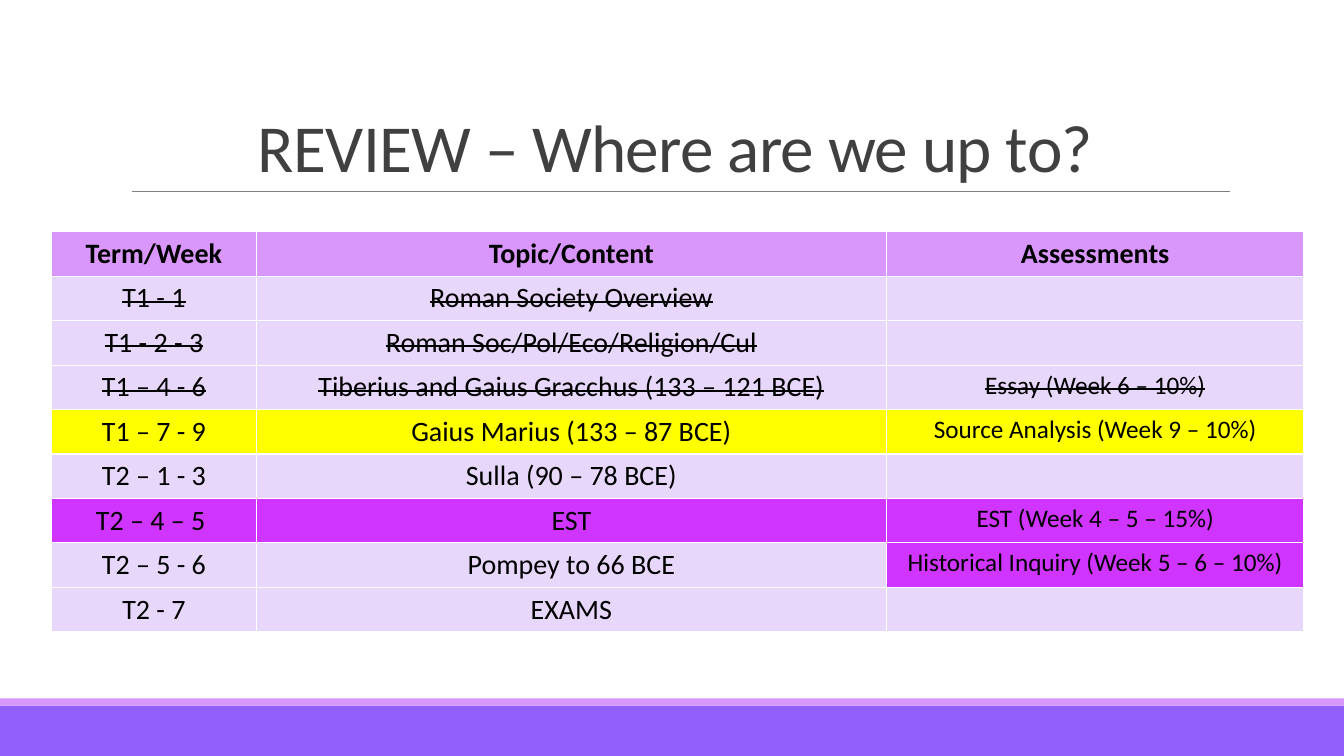
"""Build the course review slide with its term plan table."""
from typing import NamedTuple

from lxml import etree
from pptx import Presentation
from pptx import util as u
from pptx.dml.color import RGBColor
from pptx.enum import shapes, text
from pptx.oxml.ns import qn

COLORS = {
    "band": "925FFD",
    "lilac": "DA97FB",
    "rule": "808080",
    "title": "404040",
    "ink": "000000",
    "plain": "E7D7FA",
    "current": "FFFF00",
    "exam": "D035FF",
}
FONT = "Calibri"
SLIDE_WIDTH, SLIDE_HEIGHT = u.Cm(33.87), u.Cm(19.05)
COLUMN_WIDTHS = (5.16, 15.88, 10.52)
ROW_HEIGHT = 1.12


class Band(NamedTuple):
    top: float
    height: float
    color: str


class Week(NamedTuple):
    term: str
    topic: str
    assessment: str = ""
    fill: str = "plain"
    assessment_fill: str = "plain"
    done: bool = False


BANDS = (Band(17.78, 1.27, "band"), Band(17.6, 0.18, "lilac"))
HEADINGS = Week("Term/Week", "Topic/Content", "Assessments", "lilac", "lilac")
WEEKS = (
    Week("T1 - 1", "Roman Society Overview", done=True),
    Week("T1 - 2 - 3", "Roman Soc/Pol/Eco/Religion/Cul", done=True),
    Week("T1 – 4 - 6", "Tiberius and Gaius Gracchus (133 – 121 BCE)",
         "Essay (Week 6 – 10%)", done=True),
    Week("T1 – 7 - 9", "Gaius Marius (133 – 87 BCE)",
         "Source Analysis (Week 9 – 10%)", "current", "current"),
    Week("T2 – 1 - 3", "Sulla (90 – 78 BCE)"),
    Week("T2 – 4 – 5 ", "EST", "EST (Week 4 – 5 – 15%)", "exam", "exam"),
    Week("T2 – 5 - 6", "Pompey to 66 BCE",
         "Historical Inquiry (Week 5 – 6 – 10%)", assessment_fill="exam"),
    Week("T2 - 7", "EXAMS"),
)


def rgb(name: str) -> RGBColor:
    return RGBColor.from_string(COLORS[name])


def write(paragraph, wording: str, size: int, color: str, bold: bool = False, **marks: str) -> None:
    paragraph.alignment = text.PP_ALIGN.CENTER
    font = paragraph.font
    font.name, font.size, font.bold = FONT, u.Pt(size), bold
    font.color.rgb = rgb(color)
    if wording:
        run = paragraph.add_run()
        run.text = wording
        for mark, value in marks.items():
            run._r.get_or_add_rPr().set(mark, value)


def draw_band(slide, band: Band) -> None:
    stripe = slide.shapes.add_shape(
        shapes.MSO_SHAPE.RECTANGLE, 0, u.Cm(band.top), SLIDE_WIDTH, u.Cm(band.height))
    stripe.shadow.inherit = False
    stripe.fill.solid()
    stripe.fill.fore_color.rgb = rgb(band.color)
    stripe.line.fill.background()


def draw_title(slide) -> None:
    rule = slide.shapes.add_connector(
        shapes.MSO_CONNECTOR.STRAIGHT, u.Cm(3.33), u.Cm(4.82), u.Cm(31), u.Cm(4.82))
    rule.line.color.rgb = rgb("rule")
    rule.line.width = u.Pt(0.5)
    etree.SubElement(rule._element.spPr, qn("a:effectLst"))

    title = slide.shapes.add_textbox(u.Cm(3.05), u.Cm(0.79), u.Cm(27.94), u.Cm(4.03)).text_frame
    title.word_wrap = True
    title.vertical_anchor = text.MSO_ANCHOR.BOTTOM
    heading = title.paragraphs[0]
    heading.line_spacing = 0.85
    write(heading, "REVIEW – Where are we up to?", 48, "title", spc="-50")


def draw_week(cells, week: Week) -> None:
    is_heading = week is HEADINGS
    marks = {"strike": "sngStrike"} if week.done else {}
    fills = (week.fill, week.fill, week.assessment_fill)
    sizes = (20, 20, 20 if is_heading else 18)
    for cell, wording, fill, size in zip(cells, week[:3], fills, sizes):
        cell.fill.solid()
        cell.fill.fore_color.rgb = rgb(fill)
        write(cell.text_frame.paragraphs[0], wording, size, "ink", is_heading, **marks)


def draw_plan(slide) -> None:
    rows = (HEADINGS, *WEEKS)
    plan = slide.shapes.add_table(
        len(rows), len(COLUMN_WIDTHS), u.Cm(1.3), u.Cm(5.84),
        u.Cm(sum(COLUMN_WIDTHS)), u.Cm(ROW_HEIGHT * len(rows))).table
    plan.horz_banding = False
    for column, width in zip(plan.columns, COLUMN_WIDTHS):
        column.width = u.Cm(width)
    for row, week in zip(plan.rows, rows):
        row.height = u.Cm(ROW_HEIGHT)
        draw_week(row.cells, week)


def main() -> None:
    deck = Presentation()
    deck.slide_width, deck.slide_height = SLIDE_WIDTH, SLIDE_HEIGHT
    slide = deck.slides.add_slide(deck.slide_layouts[6])
    for band in BANDS:
        draw_band(slide, band)
    draw_title(slide)
    draw_plan(slide)
    deck.save("out.pptx")


if __name__ == "__main__":
    main()
